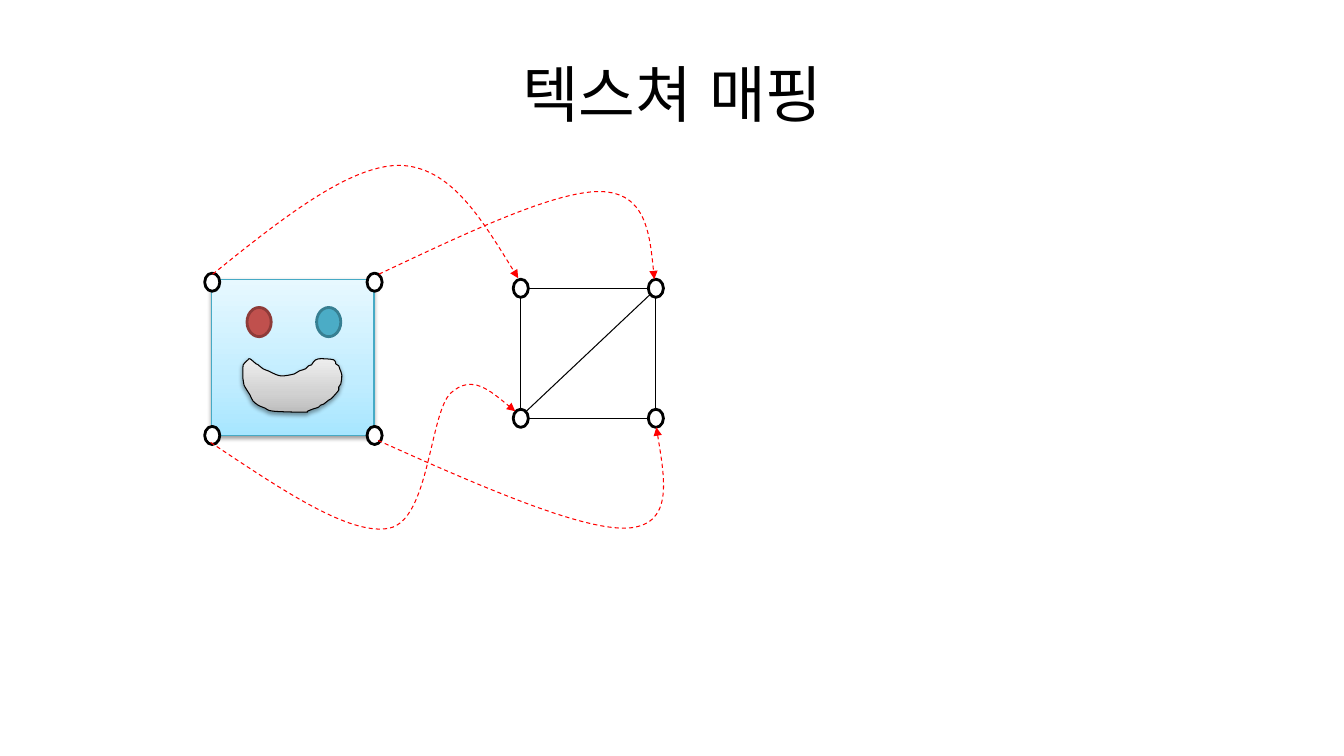
import itertools

import lxml.etree
import pptx
import pptx.dml.color
import pptx.enum.dml
import pptx.enum.lang
import pptx.enum.shapes
import pptx.enum.text
import pptx.oxml.ns
import pptx.util

PX = 9144
FONT = "Noto Sans CJK KR"
COLORS = {
    "ink": "000000", "paper": "FFFFFF", "arrow": "FF0000",
    "face_line": "46AAC5",
    "red_eye": "C0504D", "red_eye_line": "8E3B39",
    "blue_eye": "4BACC6", "blue_eye_line": "377F92",
}
FACE_STOPS = ["A7E6FF", "C1EDFF", "E7F8FF"]
MOUTH_STOPS = ["BDBDBD", "D1D1D1", "EEEEEE"]
DOT_WIDTH, DOT_HEIGHT = 15, 18
TEXTURE_X, TEXTURE_Y = (203, 364), (271, 423)
MESH_X, MESH_Y = (509, 643), (277, 406)
MOUTH = [
    (248, 392), (242, 382), (241, 376), (241, 364), (242, 361), (246, 357),
    (248, 356), (254, 361), (256, 362), (261, 366), (266, 368), (270, 370),
    (279, 373), (292, 371), (297, 368), (303, 366), (306, 363), (309, 362),
    (311, 359), (316, 356), (331, 357), (333, 361), (336, 363), (337, 366),
    (339, 372), (338, 381), (336, 384), (336, 387), (331, 393), (328, 396),
    (326, 397), (321, 401), (318, 402), (316, 404), (310, 406), (305, 408),
    (302, 409), (271, 408), (263, 405), (258, 403), (256, 402), (251, 398),
]
MAPPING_CURVES = [
    [(211, 272), (278, 218), (346, 164), (396, 164),
     (447, 165), (480, 221), (514, 276)],
    [(376, 272), (463, 231), (549, 190), (595, 190),
     (640, 191), (645, 234), (649, 277)],
    [(209, 439), (278, 485), (347, 532), (386, 524), (426, 516),
     (426, 410), (447, 390), (468, 371), (489, 390), (511, 408)],
    [(375, 437), (475, 482), (576, 526), (622, 524),
     (668, 521), (659, 473), (651, 424)],
]


def emu(*lengths):
    return [pptx.util.Emu(round(length * PX)) for length in lengths]


def rgb(name):
    return pptx.dml.color.RGBColor.from_string(COLORS[name])


def add_element(parent, tag, **attributes):
    return lxml.etree.SubElement(parent, pptx.oxml.ns.qn(tag), attributes)


def find_element(shape, tag):
    return shape._element.spPr.find(".//" + pptx.oxml.ns.qn(tag))


def set_line(shape, color, width=0.75):
    shape.line.color.rgb = rgb(color)
    shape.line.width = pptx.util.Pt(width)


def set_gradient(shape, colors):
    shape.fill.gradient()
    shape.fill.gradient_angle = 90
    stop_list = find_element(shape, "a:gsLst")
    for stop in list(stop_list):
        stop_list.remove(stop)
    for position, color in zip((0, 35000, 100000), colors):
        stop = add_element(stop_list, "a:gs", pos=str(position))
        add_element(stop, "a:srgbClr", val=color)


def add_shadow(shape):
    shadow = add_element(find_element(shape, "a:effectLst"), "a:outerShdw",
                         blurRad="40000", dist="20000", dir="5400000",
                         rotWithShape="0")
    color = add_element(shadow, "a:srgbClr", val=COLORS["ink"])
    add_element(color, "a:alpha", val="38000")


def add_title(slide, text):
    title = slide.shapes.title
    title.left, title.top, title.width, title.height = emu(67, 30, 1200, 125)
    title.text_frame.text = text
    title.text_frame.vertical_anchor = pptx.enum.text.MSO_ANCHOR.MIDDLE
    para = title.text_frame.paragraphs[0]
    para.alignment = pptx.enum.text.PP_ALIGN.CENTER
    para.font.size = pptx.util.Pt(44)
    para.font.name = FONT
    para.font.color.rgb = rgb("ink")
    properties = para._p.get_or_add_pPr().find(pptx.oxml.ns.qn("a:defRPr"))
    add_element(properties, "a:ea", typeface=FONT)
    para.runs[0].font.language_id = pptx.enum.lang.MSO_LANGUAGE_ID.KOREAN


def add_ellipse(shapes, left, top, width, height, fill, line):
    kind = pptx.enum.shapes.MSO_SHAPE.OVAL
    ellipse = shapes.add_shape(kind, *emu(left, top, width, height))
    ellipse.shadow.inherit = False
    ellipse.fill.solid()
    ellipse.fill.fore_color.rgb = rgb(fill)
    set_line(ellipse, line, 2)


def add_dots(shapes, lefts, tops):
    for top, left in itertools.product(tops, lefts):
        add_ellipse(shapes, left, top, DOT_WIDTH, DOT_HEIGHT, "paper", "ink")


def split_segments(controls):
    return [controls[first:first + 4] for first in range(0, len(controls) - 1, 3)]


def sample_segment(segment, steps=24):
    for step in range(steps + 1):
        t = step / steps
        weights = ((1 - t) ** 3, 3 * t * (1 - t) ** 2,
                   3 * t ** 2 * (1 - t), t ** 3)
        yield tuple(sum(weight * value for weight, value in zip(weights, axis))
                    for axis in zip(*segment))


def smooth_loop(points):
    controls = [points[0]]
    for index, (x, y) in enumerate(points):
        before = points[index - 1]
        after, beyond = (points[(index + step) % len(points)] for step in (1, 2))
        controls += [
            (x + (after[0] - before[0]) / 6, y + (after[1] - before[1]) / 6),
            (after[0] - (beyond[0] - x) / 6, after[1] - (beyond[1] - y) / 6),
            after,
        ]
    return controls


def add_curve(shapes, controls, close):
    segments = split_segments(controls)
    samples = [point for segment in segments for point in sample_segment(segment)]
    xs, ys = zip(*samples)
    left, top, right, bottom = emu(min(xs), min(ys), max(xs), max(ys))
    builder = shapes.build_freeform(left, top, scale=1.0)
    builder.add_line_segments([(right, bottom)], close=close)
    curve = builder.convert_to_shape()
    curve.shadow.inherit = False
    outline = find_element(curve, "a:pathLst")[0]
    for command in list(outline):
        outline.remove(command)
    commands = [("a:moveTo", controls[:1])]
    commands += [("a:cubicBezTo", segment[1:]) for segment in segments]
    for tag, points in commands:
        command = add_element(outline, tag)
        for point in points:
            x, y = emu(*point)
            add_element(command, "a:pt", x=str(x - left), y=str(y - top))
    if close:
        add_element(outline, "a:close")
    return curve


def add_face(shapes):
    kind = pptx.enum.shapes.MSO_SHAPE.RECTANGLE
    face = shapes.add_shape(kind, *emu(210, 277, 161, 155))
    face.shadow.inherit = False
    set_gradient(face, FACE_STOPS)
    set_line(face, "face_line")
    add_shadow(face)
    add_ellipse(shapes, 245, 305, 24, 29, "red_eye", "red_eye_line")
    add_ellipse(shapes, 314, 305, 24, 29, "blue_eye", "blue_eye_line")
    mouth = add_curve(shapes, smooth_loop(MOUTH), True)
    set_gradient(mouth, MOUTH_STOPS)
    set_line(mouth, "ink")
    add_shadow(mouth)


def add_edge(shapes, start, end):
    kind = pptx.enum.shapes.MSO_CONNECTOR.STRAIGHT
    edge = shapes.add_connector(kind, *emu(*start, *end))
    set_line(edge, "ink")
    add_element(edge._element.spPr, "a:effectLst")


def add_mesh(shapes):
    add_dots(shapes, MESH_X, MESH_Y)
    for x in MESH_X:
        center = x + DOT_WIDTH / 2
        add_edge(shapes, (center, MESH_Y[0] + DOT_HEIGHT), (center, MESH_Y[1]))
    for y in MESH_Y:
        center = y + DOT_HEIGHT / 2
        add_edge(shapes, (MESH_X[0] + DOT_WIDTH, center), (MESH_X[1], center))
    add_edge(shapes, (522, 408), (645, 292))


def add_mapping_arrow(shapes, controls):
    arrow = add_curve(shapes, controls, False)
    arrow.fill.background()
    set_line(arrow, "arrow")
    arrow.line.dash_style = pptx.enum.dml.MSO_LINE.DASH
    add_element(find_element(arrow, "a:ln"), "a:tailEnd", type="triangle")


def main():
    deck = pptx.Presentation()
    deck.slide_width, deck.slide_height = emu(1333, 750)
    slide = deck.slides.add_slide(deck.slide_layouts[5])
    add_title(slide, "텍스쳐 매핑")
    shapes = slide.shapes.add_group_shape().shapes
    add_face(shapes)
    add_mesh(shapes)
    add_dots(shapes, TEXTURE_X, TEXTURE_Y)
    for controls in MAPPING_CURVES:
        add_mapping_arrow(shapes, controls)
    deck.save("out.pptx")


if __name__ == "__main__":
    main()
